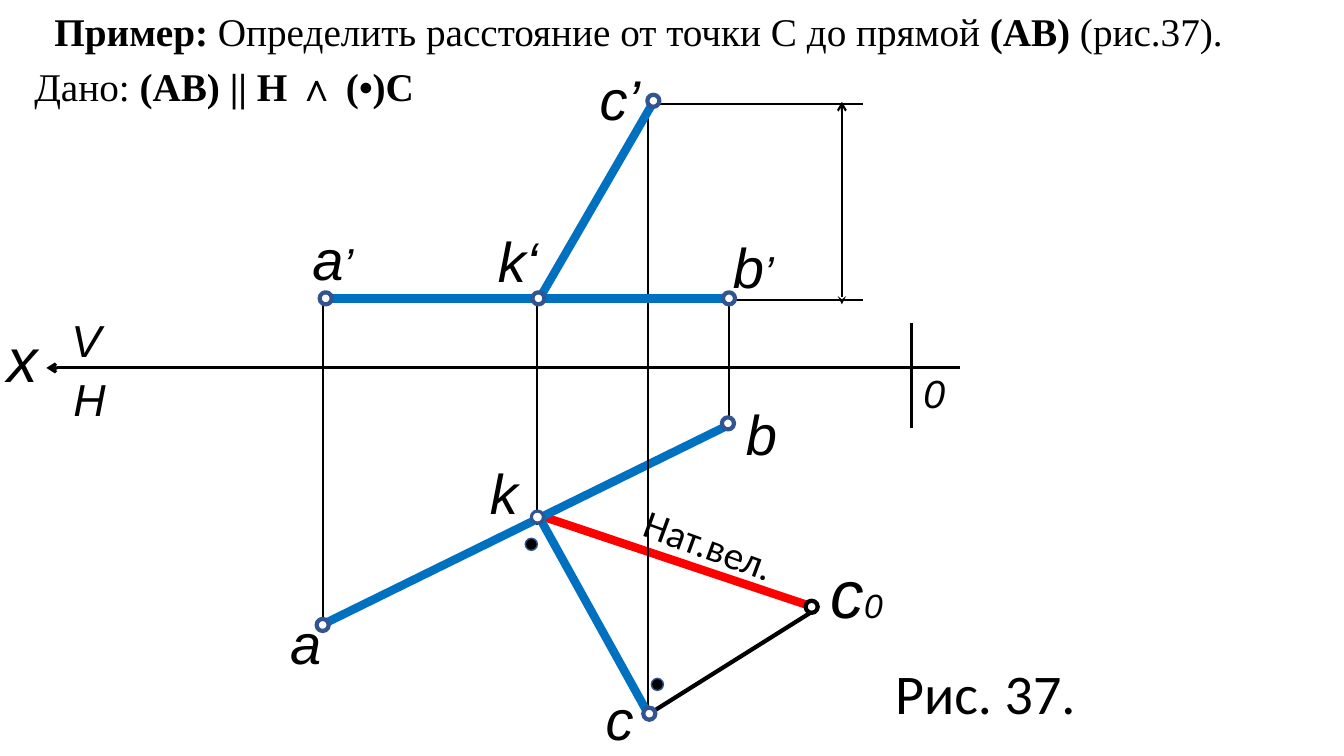
from lxml import etree
from pptx import Presentation
from pptx.dml.color import RGBColor
from pptx.enum.shapes import MSO_CONNECTOR as CONNECTOR, MSO_SHAPE as SHAPE
from pptx.enum.text import MSO_ANCHOR as ANCHOR, MSO_AUTO_SIZE as AUTO_SIZE, PP_ALIGN as ALIGN
from pptx.oxml.ns import qn
from pptx.util import Emu, Pt

PX = 9144  # 100 px to the inch
BLACK, WHITE, RED, BLUE, NAVY = "000000", "FFFFFF", "FF0000", "0070C0", "325491"


def px(*lengths):
    return [Emu(round(length * PX)) for length in lengths]


def paint(color_format, color):
    color_format.rgb = RGBColor.from_string(color)


presentation = Presentation()
presentation.slide_width, presentation.slide_height = px(1333, 750)
slide = presentation.slides.add_slide(presentation.slide_layouts[5])

# Problem statement
statement = slide.shapes.title
statement.left, statement.top, statement.width, statement.height = px(24, 2, 1307, 113)
frame = statement.text_frame
frame.word_wrap = True
frame.auto_size = AUTO_SIZE.NONE
frame.vertical_anchor = ANCHOR.TOP
statement_lines = [
    [("Пример:", True), (" Определить расстояние от точки С до прямой ", False),
     ("(АВ)", True), (" (рис.37).", False)],
    [("Дано: ", False), ("(АВ) || H ∧ (•)C", True)],
]
for number, pieces in enumerate(statement_lines):
    paragraph = frame.add_paragraph() if number else frame.paragraphs[0]
    paragraph.alignment = ALIGN.LEFT if number else ALIGN.JUSTIFY
    paragraph.line_spacing = 1.0
    paragraph.space_before = Pt(0)
    paragraph.space_after = Pt(0 if number else 6)
    for text, bold in pieces:
        run = paragraph.add_run()
        run.text = text
        run.font.name, run.font.size, run.font.bold = "Times New Roman", Pt(28), bold
        paint(run.font.color, BLACK)
first_line_indent = px(20)[0]
frame.paragraphs[0]._p.get_or_add_pPr().set("indent", str(first_line_indent))

# Lines, back to front: from x, y, to x, y, colour, width, arrowheads
lines = [
    (810, 604, 641, 710, BLACK, 3, {}),  # c0 to c
    (540, 513, 806, 602, RED, 6, {}),  # true length
    (726, 420, 317, 621, BLUE, 6, {}),  # ab
    (320, 623, 320, 297, BLACK, 1.5, {}),
    (835, 101, 835, 302, BLACK, 1.5, {"headEnd": "arrow", "tailEnd": "stealth"}),
    (652, 103, 856, 103, BLACK, 1.5, {}),
    (320, 298, 856, 298, BLACK, 1.5, {}),
    (723, 422, 723, 300, BLACK, 1.5, {}),
    (46, 365, 952, 365, BLACK, 2.25, {"headEnd": "arrow"}),  # x axis
    (904, 320, 904, 425, BLACK, 2.25, {}),
    (643, 709, 643, 103, BLACK, 1.5, {}),
    (533, 521, 533, 303, BLACK, 1.5, {}),
    (645, 712, 537, 517, BLUE, 6, {}),  # ck
    (534, 298, 647, 103, BLUE, 6, {}),  # k'c'
    (723, 296, 326, 296, BLUE, 6, {}),  # a'b'
]
for *ends, color, width, arrowheads in lines:
    connector = slide.shapes.add_connector(CONNECTOR.STRAIGHT, *px(*ends))
    paint(connector.line.color, color)
    connector.line.width = Pt(width)
    outline = connector.line._get_or_add_ln()
    for end, kind in arrowheads.items():
        etree.SubElement(outline, qn(f"a:{end}"), type=kind)
    etree.SubElement(connector._element.spPr, qn("a:effectLst"))

# Points: centre x, y, fill, outline, outline width
points = [
    (805, 602, WHITE, BLACK, 3),
    (320, 620, WHITE, NAVY, 3),
    (723, 296, WHITE, NAVY, 3),
    (648, 100, WHITE, NAVY, 3),
    (644, 708, WHITE, NAVY, 3),
    (534, 296, WHITE, NAVY, 3),
    (533, 513, WHITE, NAVY, 2.25),
    (722, 420, WHITE, NAVY, 3),
    (323, 296, WHITE, NAVY, 3),
    (527, 540, BLACK, NAVY, 1),  # right-angle marks
    (652, 679, BLACK, NAVY, 1),
]
for x, y, fill, outline_color, width in points:
    point = slide.shapes.add_shape(SHAPE.OVAL, *px(x - 6, y - 6, 12, 12))
    point.shadow.inherit = False
    point.fill.solid()
    paint(point.fill.fore_color, fill)
    paint(point.line.color, outline_color)
    point.line.width = Pt(width)

# Labels: left, top, width, font, rotation, runs of text and size
labels = [
    (717, 226, 67, "Arial", 0, [("b", 40), ("’", 32)]),
    (730, 391, 50, "Arial", 0, [("b", 40)]),
    (278, 599, 50, "Arial", 0, [("a", 40)]),
    (814, 542, 90, "Arial", 0, [("c", 48), ("0", 24)]),
    (-3, 313, 42, "Arial", 0, [("x", 44)]),
    (906, 361, 89, "Arial", 0, [("0", 28)]),
    (63, 364, 89, "Arial", 0, [("H", 32)]),
    (61, 305, 89, "Arial", 0, [("V", 32)]),
    (300, 218, 67, "Arial", 0, [("a", 40), ("’", 32)]),
    (591, 674, 50, "Arial", 0, [("c", 40)]),
    (585, 59, 70, "Arial", 0, [("c’", 40)]),
    (484, 220, 68, "Arial", 0, [("k‘", 40)]),
    (476, 450, 50, "Arial", 0, [("k", 40)]),
    (878, 648, 201, "Calibri", 0, [("Рис. 37.", 40)]),
    (627, 512, 155, "Calibri", 20.1, [("Нат.вел.", 28)]),
]
for left, top, width, font, rotation, pieces in labels:
    height = round(pieces[0][1] * 1.68 + 10)
    label = slide.shapes.add_textbox(*px(left, top, width, height))
    label.rotation = rotation
    label.text_frame.word_wrap = font == "Arial"
    for text, size in pieces:
        run = label.text_frame.paragraphs[0].add_run()
        run.text = text
        run.font.name, run.font.size = font, Pt(size)
        run.font.italic = font == "Arial"
        paint(run.font.color, BLACK)

presentation.save("out.pptx")
